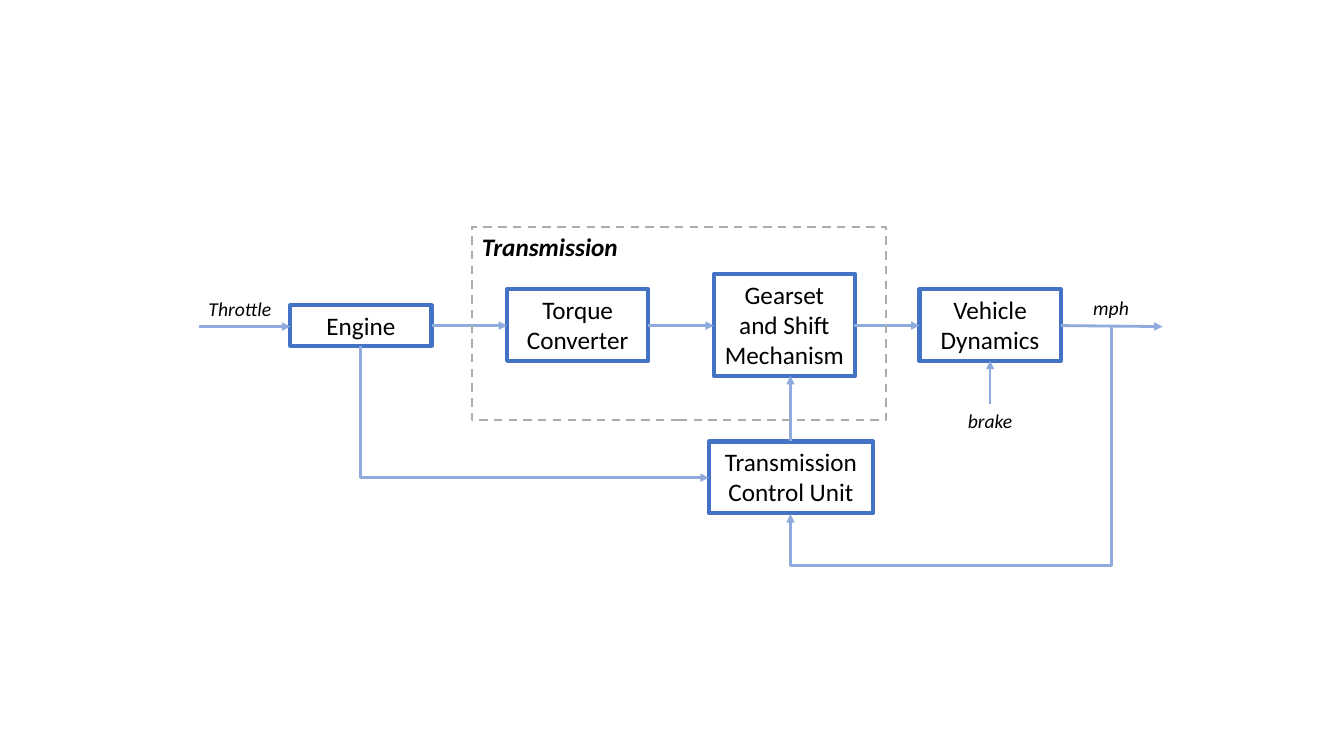
"""Build a slide with the block diagram of a vehicle powertrain."""
from dataclasses import dataclass

from lxml.etree import SubElement
from pptx import Presentation
from pptx.dml.color import RGBColor
from pptx.enum.dml import MSO_LINE
from pptx.enum.shapes import MSO_CONNECTOR as CXN, MSO_SHAPE as SHAPE
from pptx.enum.text import MSO_ANCHOR as ANCHOR, MSO_AUTO_SIZE as FIT, PP_ALIGN as AL
from pptx.oxml.ns import qn
from pptx.util import Inches, Pt


@dataclass(frozen=True)
class Theme:
    font: str = "Calibri"
    text: RGBColor = RGBColor(0x00, 0x00, 0x00)
    block: RGBColor = RGBColor(0x44, 0x72, 0xC4)
    signal: RGBColor = RGBColor(0x8F, 0xAA, 0xDC)
    group: RGBColor = RGBColor(0xAF, 0xAB, 0xAB)
    block_size: Pt = Pt(18)
    label_size: Pt = Pt(14)
    block_line: Pt = Pt(3)
    signal_line: Pt = Pt(2)
    thin_line: Pt = Pt(1.5)


class Diagram:
    def __init__(self, slide, theme):
        self.s, self.th = slide, theme

    def set_text(self, sp, text, size, align=AL.CENTER, **style):
        tf = sp.text_frame
        frame = dict(word_wrap=True, auto_size=FIT.SHAPE_TO_FIT_TEXT,
                     vertical_anchor=ANCHOR.TOP)
        for name, value in frame.items():
            setattr(tf, name, value)
        p = tf.paragraphs[0]
        p.alignment = align
        r = p.add_run()
        r.text = text
        for name, value in dict(name=self.th.font, size=size, **style).items():
            setattr(r.font, name, value)
        r.font.color.rgb = self.th.text

    def stroke(self, sp, color, **style):
        sp.line.color.rgb = color
        for name, value in style.items():
            setattr(sp.line, name, value)

    def rect(self, box, color, **style):
        sp = self.s.shapes.add_shape(SHAPE.RECTANGLE, *map(Inches, box))
        sp.shadow.inherit = False
        sp.fill.background()
        self.stroke(sp, color, **style)
        return sp

    def block(self, text, *box):
        sp = self.rect(box, self.th.block, width=self.th.block_line)
        self.set_text(sp, text, self.th.block_size)

    def group(self, text, *box):
        sp = self.rect(box, self.th.group, width=self.th.thin_line,
                       dash_style=MSO_LINE.DASH)
        self.set_text(sp, text, self.th.block_size, AL.LEFT, bold=True, italic=True)

    def label(self, text, left, top):
        box = left, top, 1.4, 0.34
        sp = self.s.shapes.add_textbox(*map(Inches, box))
        self.set_text(sp, text, self.th.label_size, italic=True)

    def signal(self, *ends, width=None, kind=CXN.STRAIGHT, arrow="tailEnd"):
        sp = self.s.shapes.add_connector(kind, *map(Inches, ends))
        self.stroke(sp, self.th.signal, width=width or self.th.signal_line)
        props = sp._element.spPr
        if arrow:
            SubElement(props.find(qn("a:ln")), qn(f"a:{arrow}"), type="triangle")
        SubElement(props, qn("a:effectLst"))
        return sp

    def corner(self, *ends, arrow=None):
        sp = self.signal(*ends, kind=CXN.ELBOW, arrow=arrow)
        sp._element.spPr.find(qn("a:prstGeom")).set("prst", "bentConnector2")


def main():
    prs = Presentation()
    prs.slide_width, prs.slide_height = Inches(13.33), Inches(7.5)
    th = Theme()
    d = Diagram(prs.slides.add_slide(prs.slide_layouts[6]), th)

    axis, control_x, brake_x = 3.23, 7.84, 9.82
    for text, left, top, width, height in (
        ("Engine", 2.88, 3.03, 1.4, 0.4),
        ("Transmission Control Unit", 7.03, 4.38, 1.63, 0.71),
        ("Torque Converter", 5.03, 2.87, 1.4, 0.71),
        ("Gearset and Shift Mechanism", 7.08, 2.72, 1.4, 1.01),
        ("Vehicle Dynamics", 9.12, 2.87, 1.4, 0.71),
    ):
        d.block(text, left, top, width, height)

    d.signal(control_x, 4.38, control_x, 3.73)
    d.signal(10.52, axis, 11.53, 3.24)
    d.signal(control_x, 5.62, control_x, 5.1)
    d.corner(control_x, 5.61, 11.02, 3.22)
    for start, end in ((6.43, 7.08), (8.47, 9.12), (4.28, 5.03)):
        d.signal(start, axis, end, axis)
    d.signal(1.97, 3.24, 2.88, 3.24)

    for text, left, top in (("brake", 9.12, 4.01), ("mph", 10.32, 2.89),
                            ("Throttle", 1.68, 2.9)):
        d.label(text, left, top)
    d.signal(brake_x, 4.01, brake_x, 3.58, width=th.thin_line)
    d.group("Transmission", 4.68, 2.25, 4.11, 1.92)
    d.corner(7.03, 4.74, 3.58, 3.43, arrow="headEnd")

    prs.save("out.pptx")


if __name__ == "__main__":
    main()
